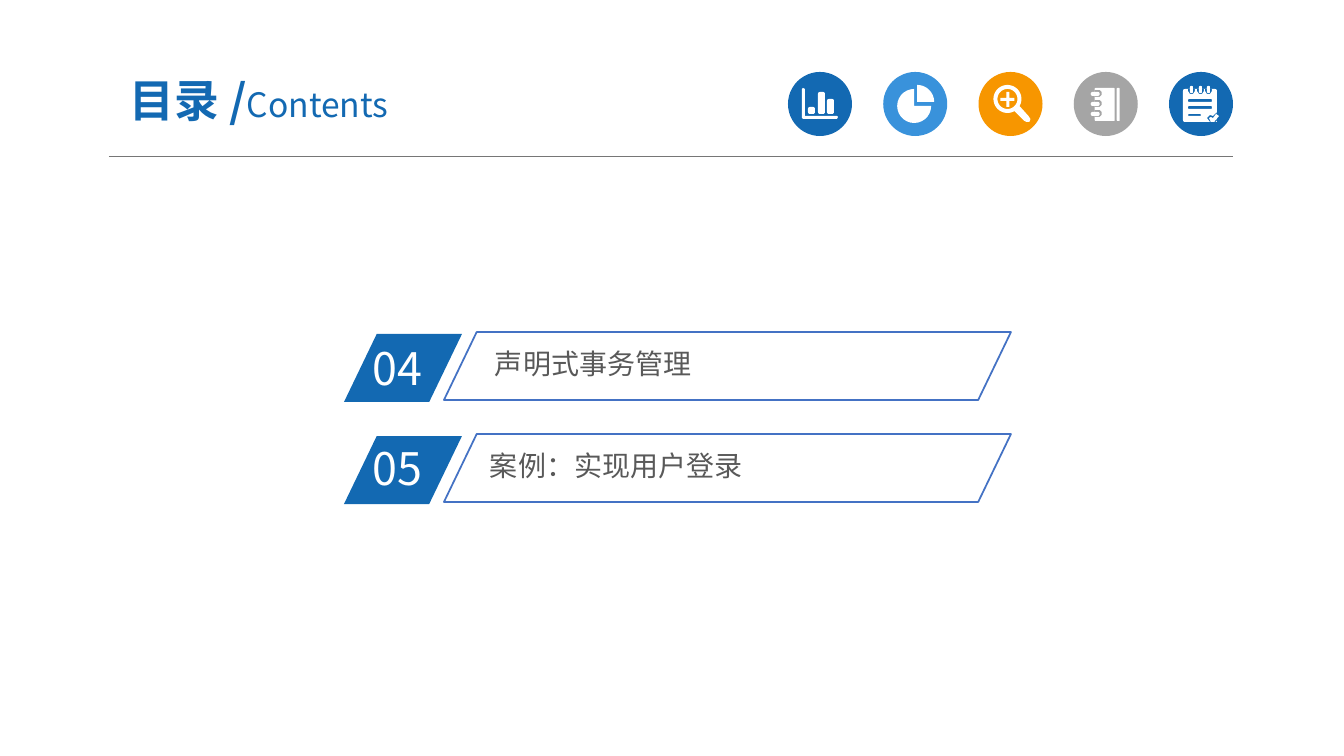
from math import cos, pi, sin

from lxml.etree import SubElement
from pptx import Presentation
from pptx.dml.color import RGBColor
from pptx.enum.shapes import MSO_CONNECTOR, MSO_SHAPE
from pptx.enum.text import MSO_ANCHOR, MSO_AUTO_SIZE, PP_ALIGN
from pptx.oxml.ns import qn
from pptx.util import Pt

PX = 914400 / 100.8
FONT = "Noto Sans CJK SC"
COLORS = {
    "blue": "1369B2",
    "sky": "3992DB",
    "orange": "F79600",
    "gray": "A5A5A5",
    "white": "FFFFFF",
    "text": "595959",
    "outline": "4472C4",
    "rule": "767676",
}

TITLE = [("目录 /", 32, True), ("Contents", 24, False)]
CHAPTERS = [
    {"number": "04", "number_top": 336, "name": "声明式事务管理", "name_left": 488},
    {"number": "05", "number_top": 436, "name": "案例：实现用户登录", "name_left": 483},
]
ROW_TOP, ROW_PITCH = 332, 102
ICON_LEFT, ICON_RIGHT, ICON_TOP, ICON_SIZE = 788, 1169, 72, 64


def arc(center_x, center_y, radius, start, end):
    steps = 4 + int(radius)
    angles = [(start + (end - start) * step / steps) * pi / 180 for step in range(steps + 1)]
    return [(center_x + radius * cos(a), center_y + radius * sin(a)) for a in angles]


def rounded(left, top, width, height, radius):
    right, bottom = left + width - radius, top + height - radius
    left, top = left + radius, top + radius
    return (arc(left, top, radius, 180, 270) + arc(right, top, radius, 270, 360)
            + arc(right, bottom, radius, 0, 90) + arc(left, bottom, radius, 90, 180))


def binder_notch(top):
    return [(21, top), (26, top), (28, top + 2), (28, top + 5), (26, top + 7), (21, top + 7)]


def pin_notch(left):
    return [(left, 17), (left + 7, 17), (left + 7, 19), (left + 5, 22), (left + 2, 22), (left, 19)]


BAR_ICON = [
    [(14, 17), (15, 16), (17, 17), (17, 44), (49, 44), (50, 45), (49, 47), (15, 47), (14, 46)],
    rounded(20, 35, 7, 7, 2),
    rounded(30, 20, 7, 22, 2),
    rounded(39, 27, 7, 15, 2),
]
PIE_ICON = [
    [(34, 30)] + arc(34, 30, 17, 270, 360),
    [(31, 34)] + arc(31, 34, 17, 0, 270),
]
SEARCH_ICON = [
    rounded(15, 13, 28, 28, 14),
    rounded(19, 17, 20, 20, 10),
    [(22, 26), (28, 26), (28, 20), (31, 20), (31, 26), (36, 26),
     (36, 29), (31, 29), (31, 35), (28, 35), (28, 29), (22, 29)],
    [(36, 39), (39, 37), (41, 34), (50, 44), (52, 47), (51, 50), (48, 50), (46, 49)],
]
NOTEBOOK_ICON = [rounded(21, 16, 20, 33, 1), rounded(43, 16, 3, 33, 1)]
for notch_top in (18, 28, 38):
    NOTEBOOK_ICON += [binder_notch(notch_top), rounded(17, notch_top + 2, 9, 4, 2)]
NOTEPAD_ICON = [
    rounded(14, 17, 34, 33, 2),
    rounded(19, 27, 24, 3, 1),
    rounded(19, 34, 24, 3, 1),
    rounded(19, 42, 13, 2, 1),
    [(38, 46), (41, 43), (44, 44), (48, 40), (48, 50), (41, 50)],
    [(40, 46), (42, 45), (44, 46), (47, 42), (50, 44), (45, 50), (42, 50)],
]
for notch_left in (19, 28, 36):
    NOTEPAD_ICON += [pin_notch(notch_left), rounded(notch_left + 2, 14, 3, 7, 1)]
ICONS = [
    ("blue", BAR_ICON),
    ("sky", PIE_ICON),
    ("orange", SEARCH_ICON),
    ("gray", NOTEBOOK_ICON),
    ("blue", NOTEPAD_ICON),
]


def emu(*lengths):
    return [round(length * PX) for length in lengths]


def color(name):
    return RGBColor.from_string(COLORS[name])


def paint(shape, fill=None, line=None):
    shape.shadow.inherit = False
    if fill:
        shape.fill.solid()
        shape.fill.fore_color.rgb = color(fill)
    else:
        shape.fill.background()
    if line:
        shape.line.color.rgb = color(line)
        shape.line.width = Pt(1.25)
    else:
        shape.line.fill.background()


def add_parallelogram(page, box, fill=None, line=None):
    shape = page.shapes.add_shape(MSO_SHAPE.PARALLELOGRAM, *emu(*box))
    shape.adjustments[0] = 0.482
    paint(shape, fill, line)


def add_text(page, box, spans, ink, insets=(10, 5)):
    frame = page.shapes.add_textbox(*emu(*box)).text_frame
    frame.word_wrap = True
    frame.auto_size = MSO_AUTO_SIZE.NONE
    frame.margin_left = frame.margin_right = emu(insets[0])[0]
    frame.margin_top = frame.margin_bottom = emu(insets[1])[0]
    para = frame.paragraphs[0]
    para.font.name = FONT
    para.font.color.rgb = color(ink)
    SubElement(para._p.pPr.find(qn("a:defRPr")), qn("a:ea"), typeface=FONT)
    for text, size, bold in spans:
        span = para.add_run()
        span.text = text
        span.font.size = Pt(size)
        span.font.bold = bold
    return frame


def add_icon(page, left, fill, contours):
    circle = page.shapes.add_shape(MSO_SHAPE.OVAL, *emu(left, ICON_TOP, ICON_SIZE, ICON_SIZE))
    paint(circle, fill)
    placed = [[emu(left + x, ICON_TOP + y) for x, y in contour] for contour in contours]
    builder = page.shapes.build_freeform(*placed[0][0])
    for index, points in enumerate(placed):
        if index:
            builder.move_to(*points[0])
        builder.add_line_segments(points[1:], close=True)
    paint(builder.convert_to_shape(), "white")


def add_header(page):
    rule = page.shapes.add_connector(MSO_CONNECTOR.STRAIGHT, *emu(109, 156, 1233, 156))
    rule.line.color.rgb = color("rule")
    rule.line.width = Pt(0.5)
    SubElement(rule._element.spPr, qn("a:effectLst"))
    pitch = (ICON_RIGHT - ICON_LEFT) / (len(ICONS) - 1)
    for index, (fill, contours) in enumerate(ICONS):
        add_icon(page, ICON_LEFT + index * pitch, fill, contours)
    title = add_text(page, (93, 64, 332, 72), TITLE, "blue", (13, 7))
    title.vertical_anchor = MSO_ANCHOR.MIDDLE
    title.paragraphs[0].alignment = PP_ALIGN.CENTER


def add_chapter(page, top, chapter):
    add_parallelogram(page, (344, top + 2, 118, 68), fill="blue")
    add_text(page, (363, chapter["number_top"], 113, 64), [(chapter["number"], 32, False)], "white")
    add_text(page, (chapter["name_left"], top + 10, 415, 41),
             [(chapter["name"], 20, False)], "text", (7, 4))
    add_parallelogram(page, (444, top, 567, 68), line="outline")


def main():
    deck = Presentation()
    deck.slide_width, deck.slide_height = emu(1344, 756)
    page = deck.slides.add_slide(deck.slide_layouts[6])
    add_header(page)
    for index, chapter in enumerate(CHAPTERS):
        add_chapter(page, ROW_TOP + index * ROW_PITCH, chapter)
    deck.save("out.pptx")


if __name__ == "__main__":
    main()
